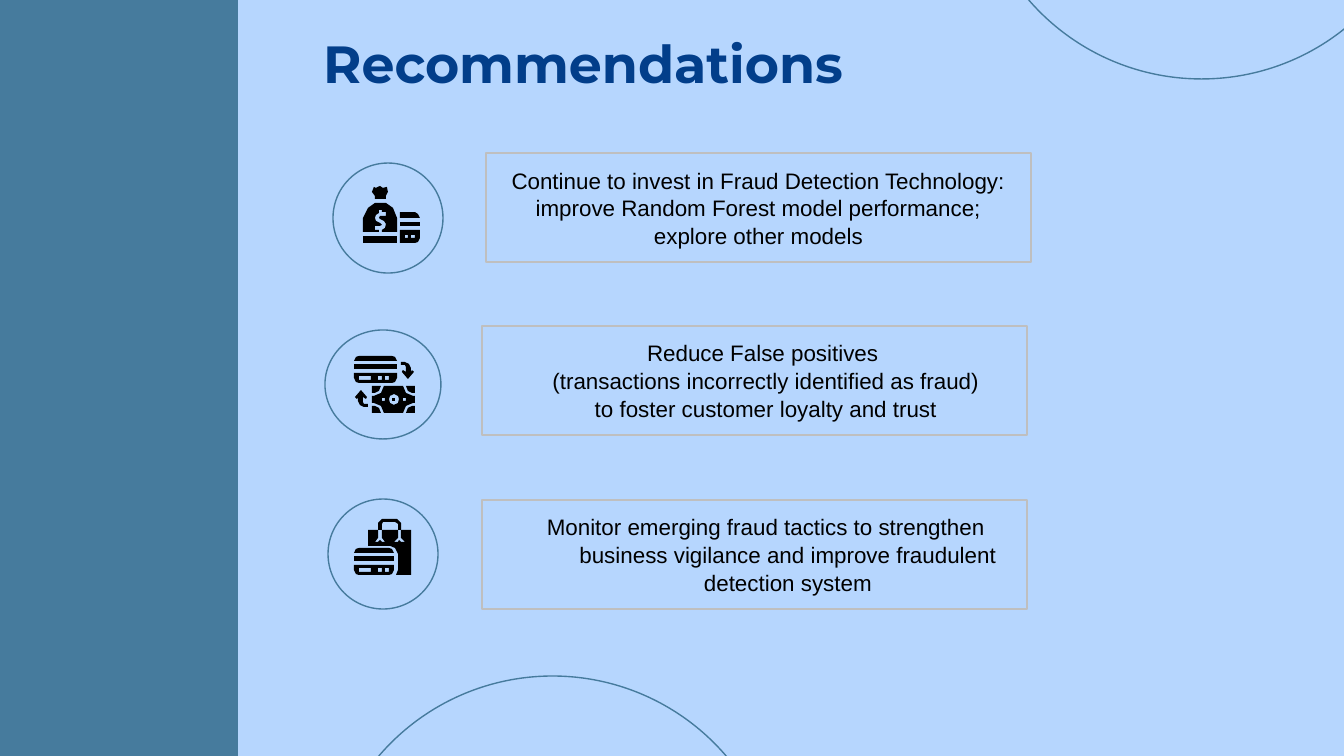
"""Build the Recommendations slide with three icon and text rows."""
from pptx import Presentation
from pptx import util as u
from pptx.dml.color import RGBColor
from pptx.enum import shapes, text

PX = 914400 / 134.4
INK, BLUE, SKY, NAVY, GREY = "000000", "467B9D", "B6D6FE", "023E8A", "BFBFBF"
hue = RGBColor.from_string


def add(kind, box, fill=None, line=None):
    shape = deck.shapes.add_shape(kind, *[round(n * PX) for n in box])
    shape.shadow.inherit = False
    if fill:
        shape.fill.solid()
        shape.fill.fore_color.rgb = hue(fill)
    else:
        shape.fill.background()
    if line:
        shape.line.color.rgb = hue(line)
        shape.line.width = u.Pt(0.75)
    else:
        shape.line.fill.background()
    return shape


def draw(*loops):
    pen = None
    for loop in loops:
        if len(loop) == 4 and isinstance(loop[0], int):
            x1, y1, x2, y2 = loop
            loop = [(x1, y1), (x1, y2), (x2, y2), (x2, y1)]
        if pen is None:
            pen = deck.shapes.build_freeform(*loop[0], scale=PX)
        else:
            pen.move_to(*loop[0])
        pen.add_line_segments(loop[1:], close=True)
    shape = pen.convert_to_shape()
    shape.shadow.inherit = False
    shape.fill.solid()
    shape.fill.fore_color.rgb = hue(INK)
    shape.line.fill.background()


pres = Presentation()
pres.slide_width, pres.slide_height = round(1344 * PX), round(756 * PX)
deck = pres.slides.add_slide(pres.slide_layouts[6])
deck.background.fill.solid()
deck.background.fill.fore_color.rgb = hue(SKY)

oval, rect = shapes.MSO_SHAPE.OVAL, shapes.MSO_SHAPE.RECTANGLE
rings = [(973, -378, 457, 457), (324, 676, 457, 457),
         (333, 163, 110, 110), (325, 330, 116, 109), (328, 499, 110, 110)]
for ring in rings:
    add(oval, ring, line=BLUE)
add(rect, (-4, 0, 242, 756), fill=BLUE)

knot = [(380, 186), (376, 188), (374, 187), (372, 192), (375, 196), (375, 199),
        (386, 199), (386, 196), (388, 192), (387, 187), (383, 188)]
sack = [(375, 203), (368, 208), (363, 218), (363, 232), (379, 232), (379, 230),
        (375, 230), (375, 226), (380, 226), (382, 225), (380, 223), (376, 221),
        (375, 218), (376, 215), (379, 213), (379, 210), (382, 210), (382, 212),
        (386, 212), (386, 216), (380, 216), (379, 218), (380, 219), (384, 221),
        (386, 224), (385, 228), (382, 230), (382, 232), (397, 232), (397, 218),
        (393, 208), (386, 203)]
coin = [(400, 230), (420, 230), (420, 238), (418, 242), (415, 243), (400, 243)]
draw(knot)
draw(sack)
draw((363, 236, 397, 243))
draw([(400, 218), (400, 212), (415, 212), (418, 214), (420, 218)])
draw((400, 222, 420, 226))
draw(coin, (405, 235, 408, 238), (411, 235, 415, 238))

for x, y, w in [(354, 356, 43), (354, 548, 40)]:
    end = x + w
    draw([(x, y + 5), (x + 2, y + 1), (x + 5, y), (end - 5, y), (end - 2, y + 1), (end, y + 5)])
    draw((x, y + 8, end, y + 13))
    base = [(x, y + 17), (end, y + 17), (end, y + 22), (end - 2, y + 26),
            (end - 5, y + 27), (x + 5, y + 27), (x + 2, y + 26), (x, y + 22)]
    draw(base, *[(x + a, y + 20, x + b, y + 24) for a, b in [(5, 17), (24, 28), (31, 35)]])

arrow = [(401, 362), (405, 362), (409, 364), (411, 368), (411, 372), (412, 370), (414, 372),
         (408, 379), (402, 372), (403, 370), (406, 372), (406, 367), (405, 365), (401, 365)]
draw(arrow)
draw([(769 - x, 769 - y) for x, y in arrow])

nook = [(372, 386), (381, 386), (379, 391), (375, 393), (372, 393)]
edge = [(372, 396), (374, 396), (381, 393), (384, 386)]
for flip in (False, True):
    for turn in (False, True):
        draw([(787 - x if flip else x, 799 - y if turn else y) for x, y in nook])
half = edge + [(787 - x, y) for x, y in reversed(edge)]
bill = half + [(x, 799 - y) for x, y in reversed(half)]
hole = [(394, 394), (398, 396), (399, 399), (398, 403),
        (394, 405), (390, 403), (389, 399), (390, 396)]
draw(bill, hole, (382, 398, 385, 401), (403, 398, 406, 401))
draw((392, 398, 395, 401))

bag = [(368, 530), (368, 546), (390, 546), (395, 548), (398, 554), (398, 570), (396, 575),
       (411, 575), (411, 530), (401, 530), (401, 538), (405, 542), (401, 542), (399, 540),
       (398, 542), (394, 542), (398, 538), (398, 530), (382, 530), (382, 538), (385, 542),
       (382, 542), (380, 540), (378, 542), (375, 542), (378, 538), (378, 530)]
grip = [(382, 519), (378, 523), (378, 530), (382, 530), (382, 524), (383, 522),
        (395, 522), (398, 524), (398, 530), (401, 530), (401, 523), (397, 519)]
draw(bag)
draw(grip)

title = deck.shapes.add_textbox(*[round(n * PX) for n in (310, 15, 640, 84)])
frame = title.text_frame
frame.word_wrap = True
frame.margin_left = frame.margin_right = u.Inches(0.1)
frame.margin_top = round(16 * PX)
frame.text = "Recommendations"
font = frame.paragraphs[0].runs[0].font
font.name, font.size, font.bold = "Montserrat", u.Pt(28), True
font.color.rgb = hue(NAVY)

rows = [
    (486, 153, False, "Continue to invest in Fraud Detection Technology: "
     "improve Random Forest model performance; explore other models"),
    (482, 326, True, "Reduce False positives \n(transactions incorrectly identified as fraud)\n"
     "to foster customer loyalty and trust"),
    (482, 500, True, "Monitor emerging fraud tactics to strengthen "
     "business vigilance and improve fraudulent detection system"),
]
for x, y, hang, words in rows:
    frame = add(rect, (x, y, 545, 109), line=GREY).text_frame
    frame.word_wrap = True
    frame.vertical_anchor = text.MSO_ANCHOR.MIDDLE
    frame.margin_left = frame.margin_right = u.Inches(0.1)
    frame.margin_top = frame.margin_bottom = u.Inches(0.1)
    frame.text = words
    for para in frame.paragraphs:
        para.alignment = text.PP_ALIGN.CENTER
        para.line_spacing = 1.04
        if hang:
            props = para._p.get_or_add_pPr()
            props.set("marL", str(round(67 * PX)))
            props.set("indent", str(round(-44 * PX)))
        font = para.runs[0].font
        font.name, font.size = "Arial", u.Pt(12)
        font.color.rgb = hue(INK)

pres.save("out.pptx")
